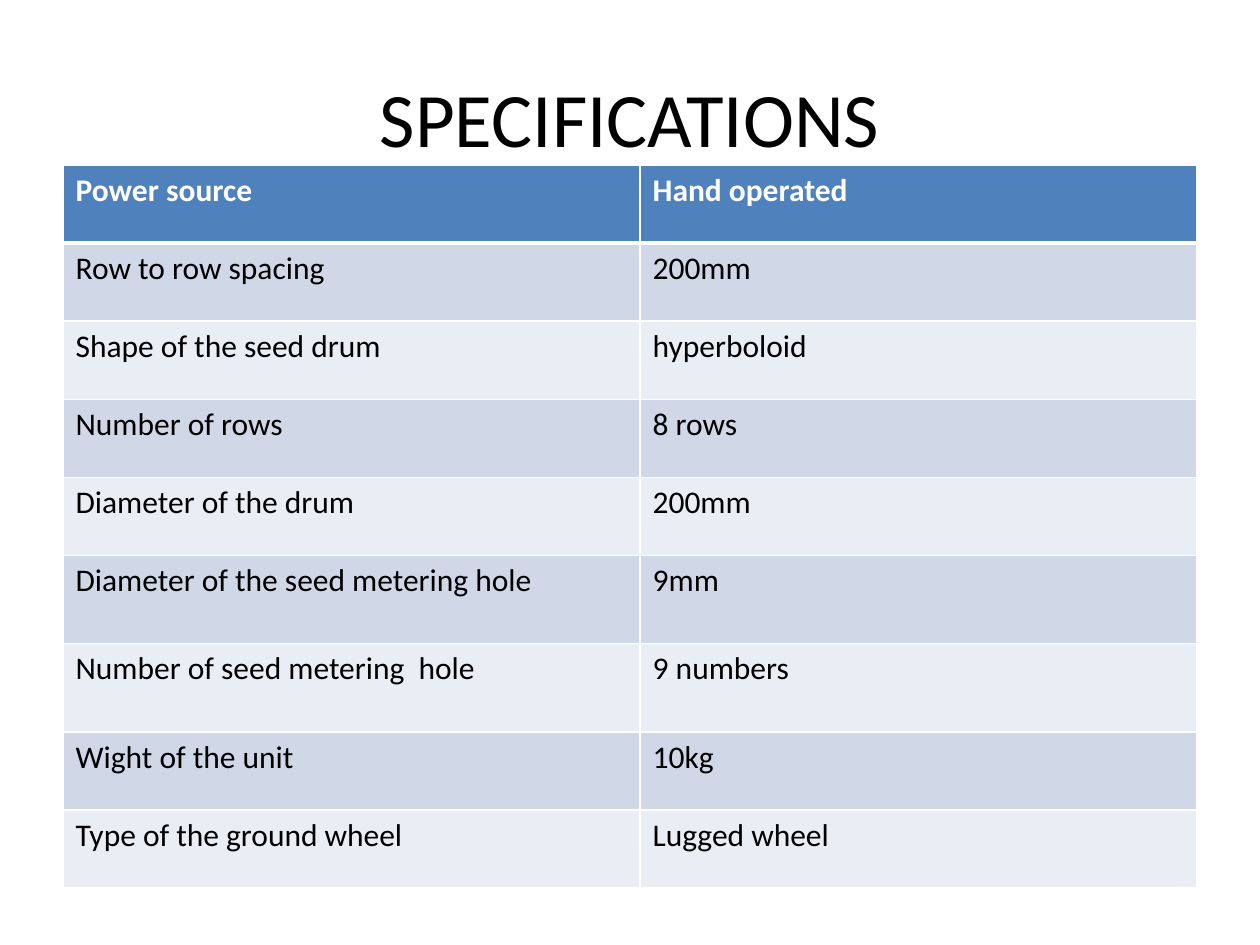
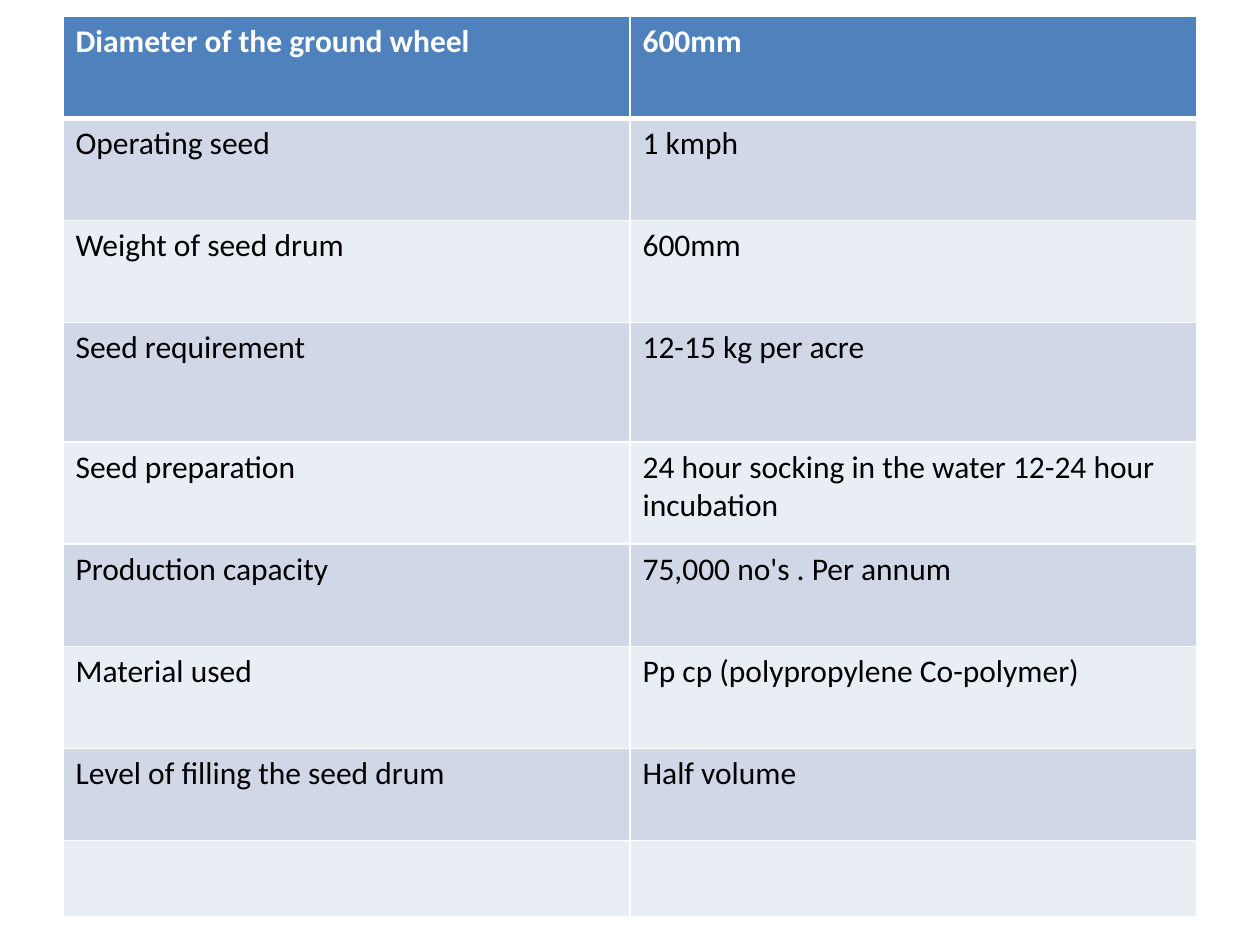
import dataclasses

import lxml.etree
import pptx
import pptx.dml.color
import pptx.enum.text
import pptx.oxml.ns
import pptx.util

Inches = pptx.util.Inches


@dataclasses.dataclass(frozen=True)
class Theme:
    font: str = "Calibri"
    title_size: int = 44
    cell_size: int = 18
    text: str = "000000"
    header_text: str = "FFFFFF"
    header_fill: str = "4F81BD"
    band_fills: tuple = ("E9EDF4", "D0D8E8")
    rule: str = "FFFFFF"
    rule_width: int = 1
    header_rule_width: int = 3


THEME = Theme()


def style_text(paragraph, size, color, bold=False):
    for run in paragraph.runs:
        run.font.name = THEME.font
        run.font.size = pptx.util.Pt(size)
        run.font.bold = bold
        run.font.color.rgb = pptx.dml.color.RGBColor.from_string(color)


def add_cell_rules(cell, widths):
    """Draw the cell borders; widths maps the sides L, R, T, B to points."""
    properties = cell._tc.get_or_add_tcPr()
    qn = pptx.oxml.ns.qn
    for position, (side, width) in enumerate(widths.items()):
        rule = lxml.etree.Element(qn(f"a:ln{side}"), w=str(pptx.util.Pt(width)))
        fill = lxml.etree.SubElement(rule, qn("a:solidFill"))
        lxml.etree.SubElement(fill, qn("a:srgbClr"), val=THEME.rule)
        properties.insert(position, rule)


spec_slides = [
    {
        "title": "SPECIFICATIONS",
        "top": 1.31,
        "columns": [4.58, 4.42],
        "row_height": 0.62,
        "other_heights": {5: 0.7, 6: 0.7},
        "specs": [
            ("Power source", "Hand operated"),
            ("Row to row spacing", "200mm"),
            ("Shape of the seed drum", "hyperboloid"),
            ("Number of rows", "8 rows"),
            ("Diameter of the drum", "200mm"),
            ("Diameter of the seed metering hole", "9mm"),
            ("Number of seed metering  hole", "9 numbers"),
            ("Wight of the unit", "10kg"),
            ("Type of the ground wheel", "Lugged wheel"),
        ],
    },
    {
        "title": None,
        "top": 0.13,
        "columns": [4.5, 4.5],
        "row_height": 0.81,
        "other_heights": {3: 0.95, 7: 0.73, 8: 0.61},
        "specs": [
            ("Diameter of the ground wheel", "600mm"),
            ("Operating seed", "1 kmph"),
            ("Weight of seed drum", "600mm"),
            ("Seed requirement", "12-15 kg per acre"),
            ("Seed preparation", "24 hour socking in the water 12-24 hour incubation"),
            ("Production capacity", "75,000 no's . Per annum"),
            ("Material used", "Pp cp (polypropylene Co-polymer)"),
            ("Level of filling the seed drum", "Half volume"),
            ("", ""),
        ],
    },
]

deck = pptx.Presentation()
deck.slide_width, deck.slide_height = Inches(10), Inches(7.5)
blank_layout = deck.slide_layouts[6]

for content in spec_slides:
    slide = deck.slides.add_slide(blank_layout)

    if content["title"]:
        title = slide.shapes.add_textbox(Inches(0.5), Inches(0.3), Inches(9), Inches(1.25))
        title.text_frame.word_wrap = True
        title.text_frame.vertical_anchor = pptx.enum.text.MSO_ANCHOR.MIDDLE
        title.text_frame.text = content["title"]
        heading = title.text_frame.paragraphs[0]
        heading.alignment = pptx.enum.text.PP_ALIGN.CENTER
        style_text(heading, THEME.title_size, THEME.text)

    specs = content["specs"]
    heights = [content["other_heights"].get(row, content["row_height"])
               for row in range(len(specs))]
    spec_table = slide.shapes.add_table(
        len(specs), 2, Inches(0.5), Inches(content["top"]),
        Inches(sum(content["columns"])), Inches(sum(heights))).table
    for column, width in zip(spec_table.columns, content["columns"]):
        column.width = Inches(width)

    for row, (height, spec) in enumerate(zip(heights, specs)):
        spec_table.rows[row].height = Inches(height)
        is_header = row == 0
        fill = THEME.header_fill if is_header else THEME.band_fills[row % 2]
        color = THEME.header_text if is_header else THEME.text
        widths = dict.fromkeys("LRTB", THEME.rule_width)
        if is_header:
            widths["B"] = THEME.header_rule_width
        elif row == 1:
            widths["T"] = THEME.header_rule_width
        for column, wording in enumerate(spec):
            cell = spec_table.cell(row, column)
            cell.fill.solid()
            cell.fill.fore_color.rgb = pptx.dml.color.RGBColor.from_string(fill)
            add_cell_rules(cell, widths)
            if wording:
                cell.text_frame.text = wording
                style_text(cell.text_frame.paragraphs[0], THEME.cell_size, color, is_header)

deck.save("out.pptx")
